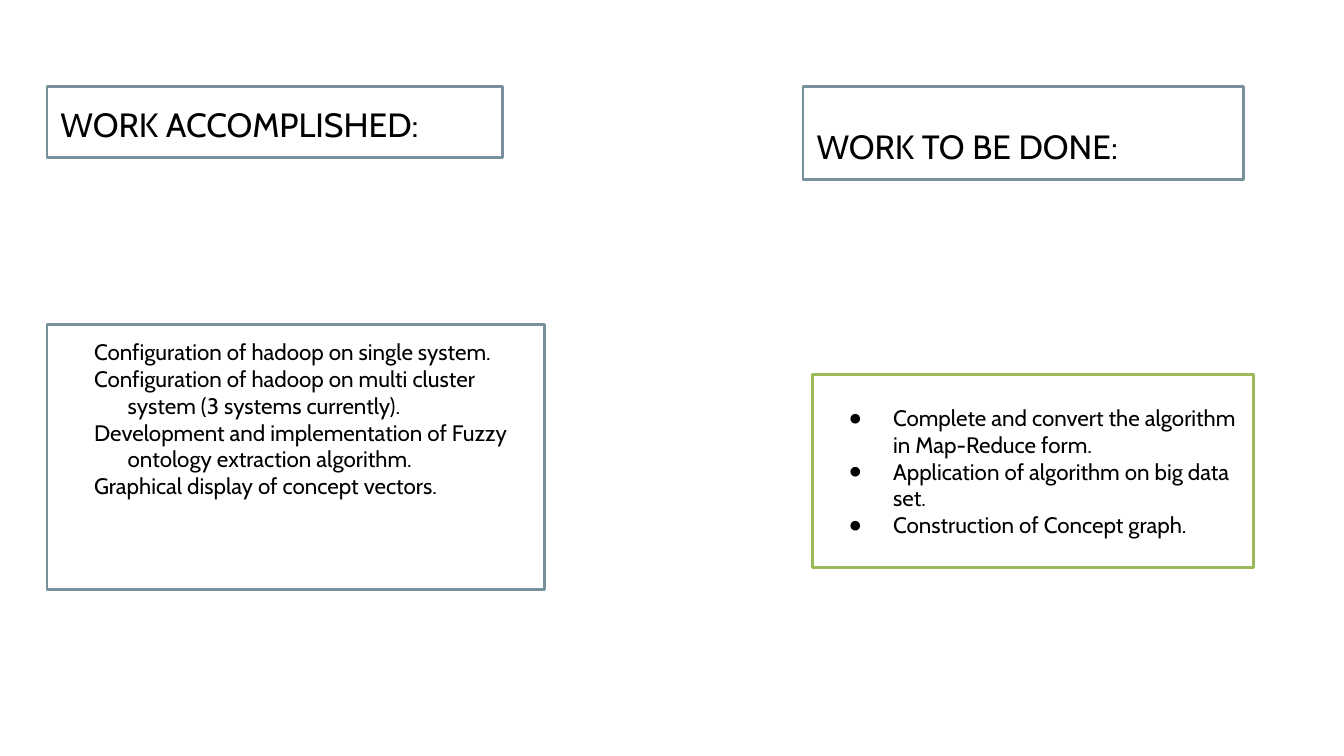
from lxml.etree import SubElement
from pptx import Presentation
from pptx.dml.color import RGBColor
from pptx.enum.text import MSO_ANCHOR as Anchor, MSO_AUTO_SIZE as AutoSize, PP_ALIGN as Align
from pptx.oxml.ns import qn
from pptx.util import Emu, Pt

EMU_PER_PX = 4572  # 200 px to the inch
FONT, BULLET_FONT = "Cabin", "Arial"
BLACK, SLATE, GREEN = "000000", "78909C", "9BBB59"
COMPARISON_LAYOUT = 4

ACCOMPLISHED = [
    "Configuration of hadoop on single system.",
    "Configuration of hadoop on multi cluster system (3 systems currently).",
    "Development and implementation of Fuzzy ontology extraction algorithm.",
    "Graphical display of concept vectors.",
]
TO_BE_DONE = [
    "Complete and convert the algorithm in Map-Reduce form.",
    "Application of algorithm on big data set.",
    "Construction of Concept graph.",
]


def px(length):
    return Emu(length * EMU_PER_PX)


def color(hex_string):
    return RGBColor.from_string(hex_string)


def set_bullet(paragraph, indent, bullet):
    """Hang the first line and set its bullet, or none."""
    properties = paragraph._p.get_or_add_pPr()
    properties.set("marL", str(px(100 if indent else 0)))
    properties.set("indent", str(px(-indent)))
    if bullet:
        bullet_color = SubElement(properties, qn("a:buClr"))
        SubElement(bullet_color, qn("a:srgbClr"), val=BLACK)
        SubElement(properties, qn("a:buFont"), typeface=BULLET_FONT)
        SubElement(properties, qn("a:buChar"), char=bullet)
    else:
        SubElement(properties, qn("a:buNone"))


def fill_box(shape, box, lines, size, line_color, anchor, indent=0, bullet=None):
    """Place an outlined placeholder and write its paragraphs."""
    shape.left, shape.top, shape.width, shape.height = map(px, box)
    shape.line.color.rgb = color(line_color)
    shape.line.width = Pt(1.5)

    frame = shape.text_frame
    frame.word_wrap = True
    frame.auto_size = AutoSize.NONE
    frame.vertical_anchor = anchor
    frame.margin_left = frame.margin_top = px(20)
    frame.margin_right = frame.margin_bottom = px(20)

    frame.text = "\n".join(lines)
    for paragraph in frame.paragraphs:
        paragraph.alignment = Align.LEFT
        paragraph.line_spacing = 1.0
        paragraph.space_before = paragraph.space_after = Pt(0)
        set_bullet(paragraph, indent, bullet)
        for run in paragraph.runs:
            run.font.name = FONT
            run.font.size = Pt(size)
            run.font.bold = False
            run.font.color.rgb = color(BLACK)


def add_heading(shape, box, text):
    fill_box(shape, box, [text], 18, SLATE, Anchor.BOTTOM)


def add_list(shape, box, items, line_color, anchor, indent, bullet=None):
    fill_box(shape, box, items, 12, line_color, anchor, indent, bullet)


def main():
    presentation = Presentation()
    presentation.slide_width, presentation.slide_height = px(2000), px(1125)
    layout = presentation.slide_layouts[COMPARISON_LAYOUT]
    slide = presentation.slides.add_slide(layout)
    title, spare, left_list, right_heading, right_list = slide.placeholders
    spare.element.getparent().remove(spare.element)

    # Left column: finished work
    add_heading(title, (70, 129, 678, 106), "WORK ACCOMPLISHED:")
    add_list(left_list, (70, 483, 740, 394), ACCOMPLISHED, SLATE, Anchor.TOP, 50)

    # Right column: remaining work
    add_heading(right_heading, (1195, 129, 656, 138), "WORK TO BE DONE:")
    add_list(right_list, (1209, 557, 656, 288), TO_BE_DONE, GREEN, Anchor.MIDDLE, 66, "●")

    presentation.save("out.pptx")


if __name__ == "__main__":
    main()
